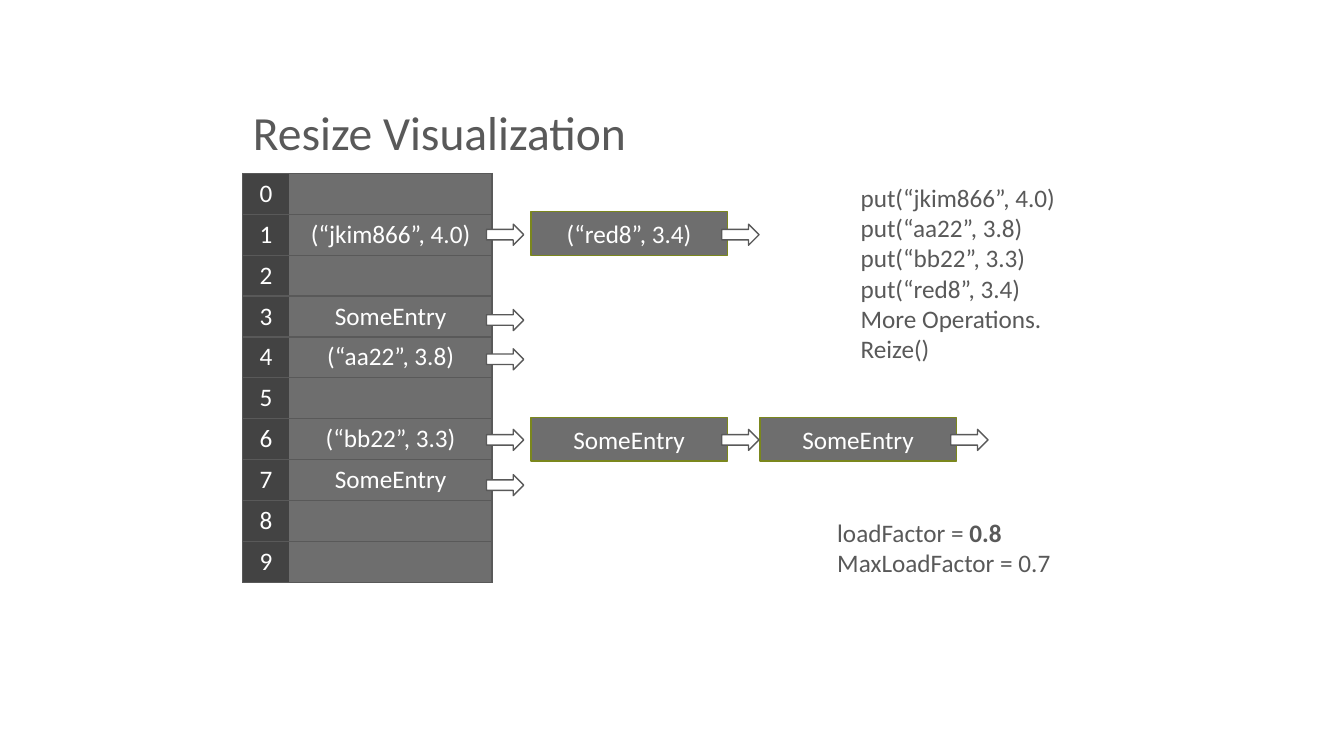
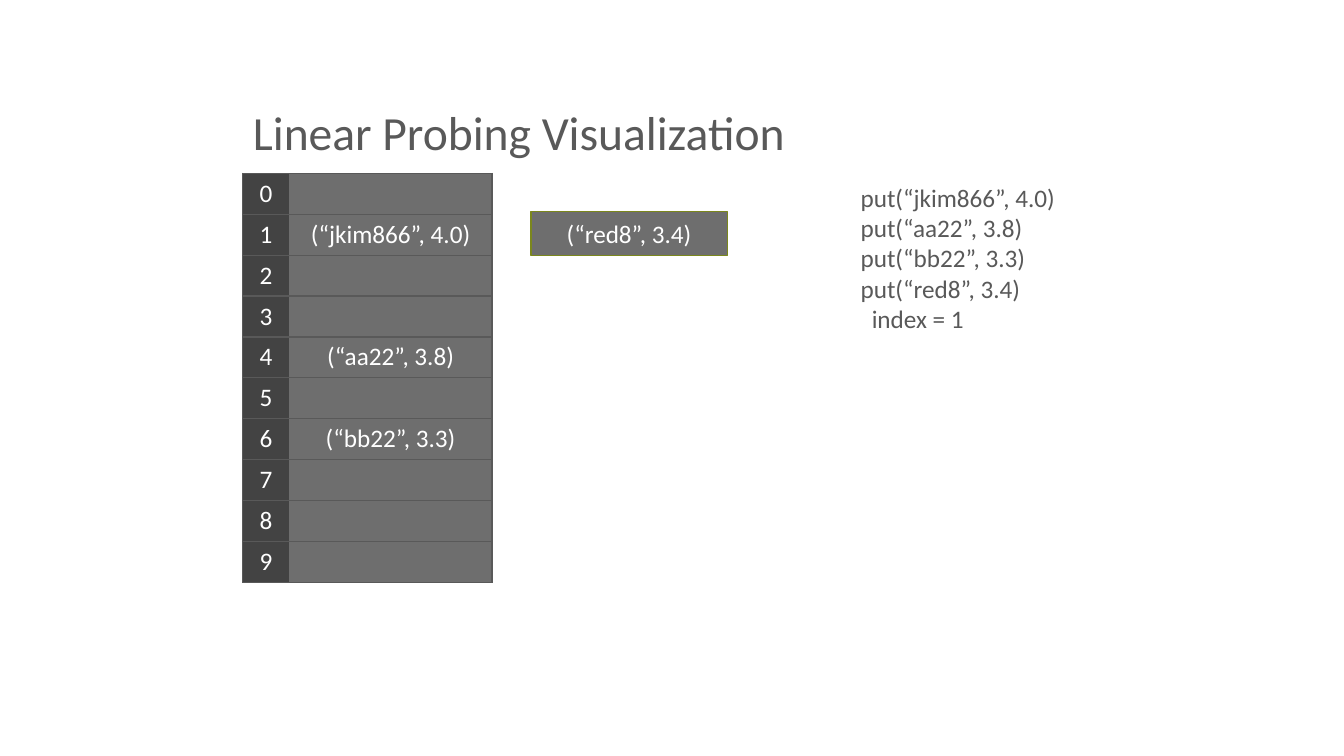
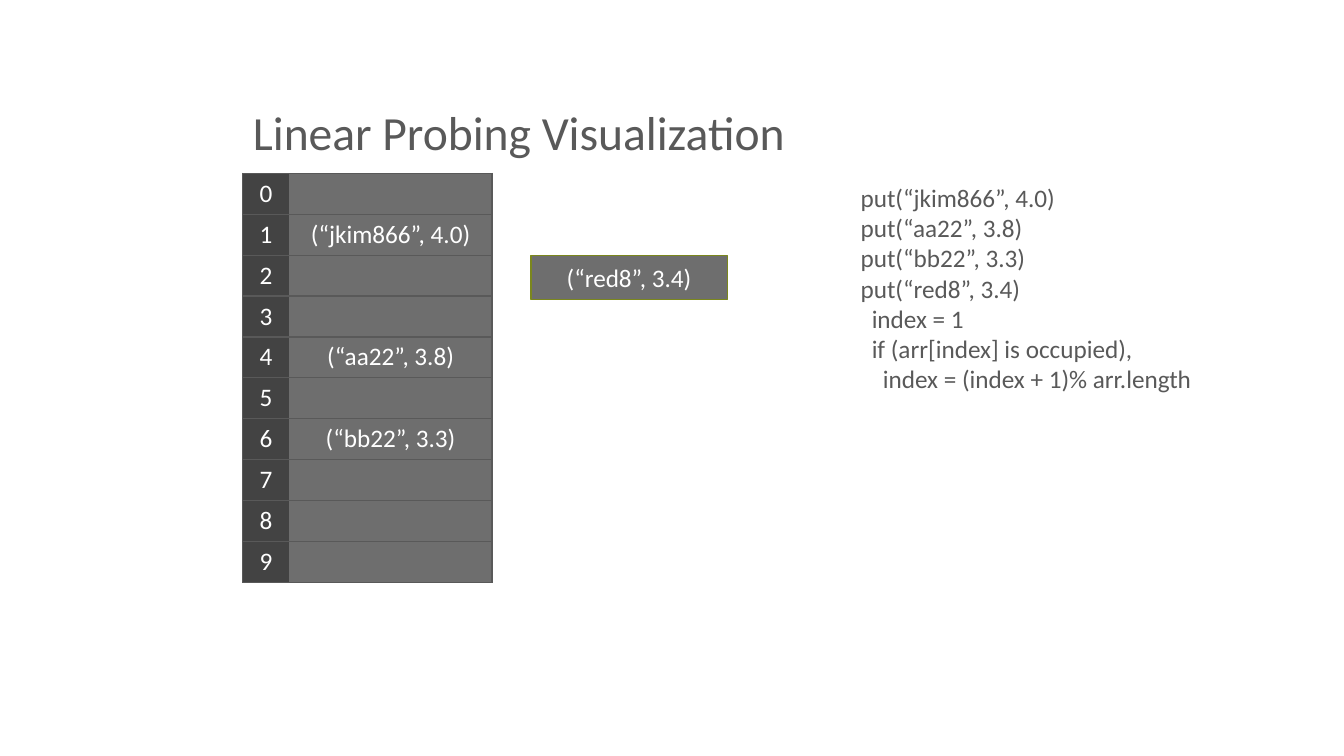
from dataclasses import dataclass

from lxml import etree
from pptx import Presentation
from pptx.dml.color import RGBColor
from pptx.enum.shapes import MSO_SHAPE
from pptx.enum.text import MSO_ANCHOR, MSO_AUTO_SIZE, PP_ALIGN
from pptx.oxml.ns import qn
from pptx.util import Cm, Pt

RECTANGLE, RIGHT_ARROW = MSO_SHAPE.RECTANGLE, MSO_SHAPE.RIGHT_ARROW
TOP, MIDDLE, BOTTOM = MSO_ANCHOR.TOP, MSO_ANCHOR.MIDDLE, MSO_ANCHOR.BOTTOM
LEFT, CENTER = PP_ALIGN.LEFT, PP_ALIGN.CENTER
NO_AUTOFIT = MSO_AUTO_SIZE.NONE
TITLE_ONLY = 5
PLAIN_TABLE_STYLE = "{2D5ABB26-0587-4C30-8999-92F81FD0307C}"


@dataclass(frozen=True)
class Theme:
    """Colours, font and type sizes shared by all slides."""
    ink: str = "595959"
    paper: str = "FFFFFF"
    index_fill: str = "434343"
    entry_fill: str = "6E6E6E"
    node_line: str = "7B871D"
    font: str = "Calibri"
    title_size: int = 34
    body_size: int = 18
    line_width: int = 1


@dataclass(frozen=True)
class Box:
    """A region of the slide in centimetres."""
    left: float
    top: float
    width: float
    height: float

    def lengths(self):
        """Return the region as slide lengths."""
        return [Cm(value) for value in (self.left, self.top, self.width, self.height)]


@dataclass(frozen=True)
class Chain:
    """Nodes that hang beside a bucket, with an optional arrow after each part."""
    row: int
    nodes: tuple = ()
    arrow_drop: float = 0
    node_drop: float = 0
    linked: bool = True


THEME = Theme()
SLIDE_WIDTH, SLIDE_HEIGHT = 33.87, 19.05
TITLE_BOX = Box(6.12, 0.84, 26.04, 3.33)
BUCKET_BOX = Box(6.12, 4.37, 6.28, 10.3)
INDEX_WIDTH = 1.17
BUCKET_COUNT = 10
NODE_WIDTH, NODE_HEIGHT = 4.95, 1.1
NODE_GAP, NODE_STEP = 0.98, 5.77
ARROW_WIDTH, ARROW_HEIGHT, ARROW_OVERLAP = 0.94, 0.53, 0.14
INDENT_STEP = 0.28
CODE_BOX = Box(21.44, 4.47, 10.77, 5.64)
LOAD_BOX = Box(20.85, 12.9, 6.65, 1.8)

ENTRIES = {1: "(“jkim866”, 4.0)", 4: "(“aa22”, 3.8)", 6: "(“bb22”, 3.3)"}
COLLIDING_ENTRY = "(“red8”, 3.4)"
OTHER_ENTRY = "SomeEntry"
PUT_LINES = [(0, f"put{entry}") for entry in (*ENTRIES.values(), COLLIDING_ENTRY)]
INDEX_LINES = PUT_LINES + [(1, "index = 1")]
PROBE_LINES = INDEX_LINES + [
    (1, "if (arr[index] is occupied),"),
    (2, "index = (index + 1)% arr.length"),
]
RESIZE_LINES = PUT_LINES + [(0, "More Operations."), (0, "Reize()")]
LOAD_LINES = [(0, "loadFactor = ", "0.8"), (0, "MaxLoadFactor = 0.7")]
RESIZE_CHAINS = [
    Chain(1, (COLLIDING_ENTRY,), node_drop=-0.03),
    Chain(3, arrow_drop=0.09),
    Chain(4, arrow_drop=0.05),
    Chain(6, (OTHER_ENTRY, OTHER_ENTRY), arrow_drop=0.02),
    Chain(7, arrow_drop=0.13),
]

SLIDES = [
    {
        "title": "Resize Visualization",
        "entries": {**ENTRIES, 3: OTHER_ENTRY, 7: OTHER_ENTRY},
        "chains": RESIZE_CHAINS,
        "texts": [(CODE_BOX, RESIZE_LINES), (LOAD_BOX, LOAD_LINES)],
    },
    {
        "title": "Linear Probing Visualization",
        "entries": ENTRIES,
        "chains": [Chain(1, (COLLIDING_ENTRY,), node_drop=-0.03, linked=False)],
        "texts": [(CODE_BOX, INDEX_LINES)],
    },
    {
        "title": "Linear Probing Visualization",
        "entries": ENTRIES,
        "chains": [Chain(2, (COLLIDING_ENTRY,), node_drop=0.05, linked=False)],
        "texts": [(CODE_BOX, PROBE_LINES)],
    },
]


def apply_format(target, values):
    """Set each named attribute of the target."""
    for name, value in values.items():
        setattr(target, name, value)


def add_run(paragraph, text, size, color, bold=False):
    """Add a run in the theme font."""
    run = paragraph.add_run()
    run.text = text
    apply_format(run.font, {"name": THEME.font, "size": Pt(size), "bold": bold})
    run.font.color.rgb = RGBColor.from_string(color)


def set_fill(target, color):
    """Give a shape or cell a solid fill."""
    target.fill.solid()
    target.fill.fore_color.rgb = RGBColor.from_string(color)


def set_cell_borders(cell, sides):
    """Draw thin ink lines on the named sides of a cell."""
    properties = cell._tc.get_or_add_tcPr()
    for position, side in enumerate(sides):
        line = etree.Element(qn(f"a:ln{side}"), w=str(Pt(THEME.line_width)))
        solid = etree.SubElement(line, qn("a:solidFill"))
        etree.SubElement(solid, qn("a:srgbClr"), val=THEME.ink)
        properties.insert(position, line)


def add_title(slide, box, text):
    """Place and format the title placeholder."""
    title = slide.shapes.title
    apply_format(title, dict(zip(("left", "top", "width", "height"), box.lengths())))
    apply_format(title.text_frame, {
        "auto_size": NO_AUTOFIT, "vertical_anchor": BOTTOM, "word_wrap": True})
    paragraph = title.text_frame.paragraphs[0]
    apply_format(paragraph, {"alignment": LEFT, "line_spacing": 0.9})
    add_run(paragraph, text, THEME.title_size, THEME.ink)


def add_buckets(slide, box, entries):
    """Draw the array as a table of indexes and entries."""
    table = slide.shapes.add_table(BUCKET_COUNT, 2, *box.lengths()).table
    apply_format(table, {"first_row": False, "horz_banding": False})
    table._tbl.tblPr.find(qn("a:tableStyleId")).text = PLAIN_TABLE_STYLE
    for column, width in zip(table.columns, (INDEX_WIDTH, box.width - INDEX_WIDTH)):
        column.width = Cm(width)
    for index, row in enumerate(table.rows):
        row.height = Cm(box.height / BUCKET_COUNT)
        columns = (
            (str(index), THEME.index_fill, "LTB"),
            (entries.get(index, ""), THEME.entry_fill, "RTB"),
        )
        for cell, (text, color, sides) in zip(row.cells, columns):
            set_fill(cell, color)
            set_cell_borders(cell, sides)
            paragraph = cell.text_frame.paragraphs[0]
            paragraph.alignment = CENTER
            if text:
                add_run(paragraph, text, THEME.body_size, THEME.paper)


def add_outlined_shape(slide, kind, box, fill, line):
    """Add a flat shape with a thin outline."""
    shape = slide.shapes.add_shape(kind, *box.lengths())
    shape.shadow.inherit = False
    set_fill(shape, fill)
    shape.line.color.rgb = RGBColor.from_string(line)
    shape.line.width = Pt(THEME.line_width)
    return shape


def add_node(slide, left, middle, text):
    """Add one entry box centred on a height."""
    box = Box(left, middle - NODE_HEIGHT / 2, NODE_WIDTH, NODE_HEIGHT)
    node = add_outlined_shape(slide, RECTANGLE, box, THEME.entry_fill, THEME.node_line)
    node.text_frame.vertical_anchor = MIDDLE
    paragraph = node.text_frame.paragraphs[0]
    paragraph.alignment = CENTER
    add_run(paragraph, text, THEME.body_size, THEME.paper)


def add_arrow(slide, edge, middle):
    """Add an arrow that leaves the given right edge."""
    box = Box(edge - ARROW_OVERLAP, middle - ARROW_HEIGHT / 2, ARROW_WIDTH, ARROW_HEIGHT)
    add_outlined_shape(slide, RIGHT_ARROW, box, THEME.paper, THEME.ink)


def add_chain(slide, box, chain):
    """Draw a chain beside its row of the bucket table."""
    middle = box.top + (chain.row + 0.5) * box.height / BUCKET_COUNT
    edge = box.left + box.width
    lefts = [edge + NODE_GAP + NODE_STEP * place for place in range(len(chain.nodes))]
    for left, text in zip(lefts, chain.nodes):
        add_node(slide, left, middle + chain.node_drop, text)
    if chain.linked:
        for right in (edge, *(left + NODE_WIDTH for left in lefts)):
            add_arrow(slide, right, middle + chain.arrow_drop)


def add_lines(slide, box, lines):
    """Write lines of text, each with an indent level and an optional bold end."""
    frame = slide.shapes.add_textbox(*box.lengths()).text_frame
    apply_format(frame, {"word_wrap": True, "vertical_anchor": TOP})
    for number, (level, text, *bold_texts) in enumerate(lines):
        paragraph = frame.add_paragraph() if number else frame.paragraphs[0]
        paragraph.alignment = LEFT
        paragraph._p.get_or_add_pPr().set("marL", str(Cm(level * INDENT_STEP)))
        add_run(paragraph, text, THEME.body_size, THEME.ink)
        for bold_text in bold_texts:
            add_run(paragraph, bold_text, THEME.body_size, THEME.ink, bold=True)


def add_hash_slide(presentation, content):
    """Build one hash table slide."""
    slide = presentation.slides.add_slide(presentation.slide_layouts[TITLE_ONLY])
    add_title(slide, TITLE_BOX, content["title"])
    add_buckets(slide, BUCKET_BOX, content["entries"])
    for box, lines in content["texts"]:
        add_lines(slide, box, lines)
    for chain in content["chains"]:
        add_chain(slide, BUCKET_BOX, chain)


def main():
    """Build and save the presentation."""
    presentation = Presentation()
    apply_format(presentation, {
        "slide_width": Cm(SLIDE_WIDTH), "slide_height": Cm(SLIDE_HEIGHT)})
    for content in SLIDES:
        add_hash_slide(presentation, content)
    presentation.save("out.pptx")


if __name__ == "__main__":
    main()
